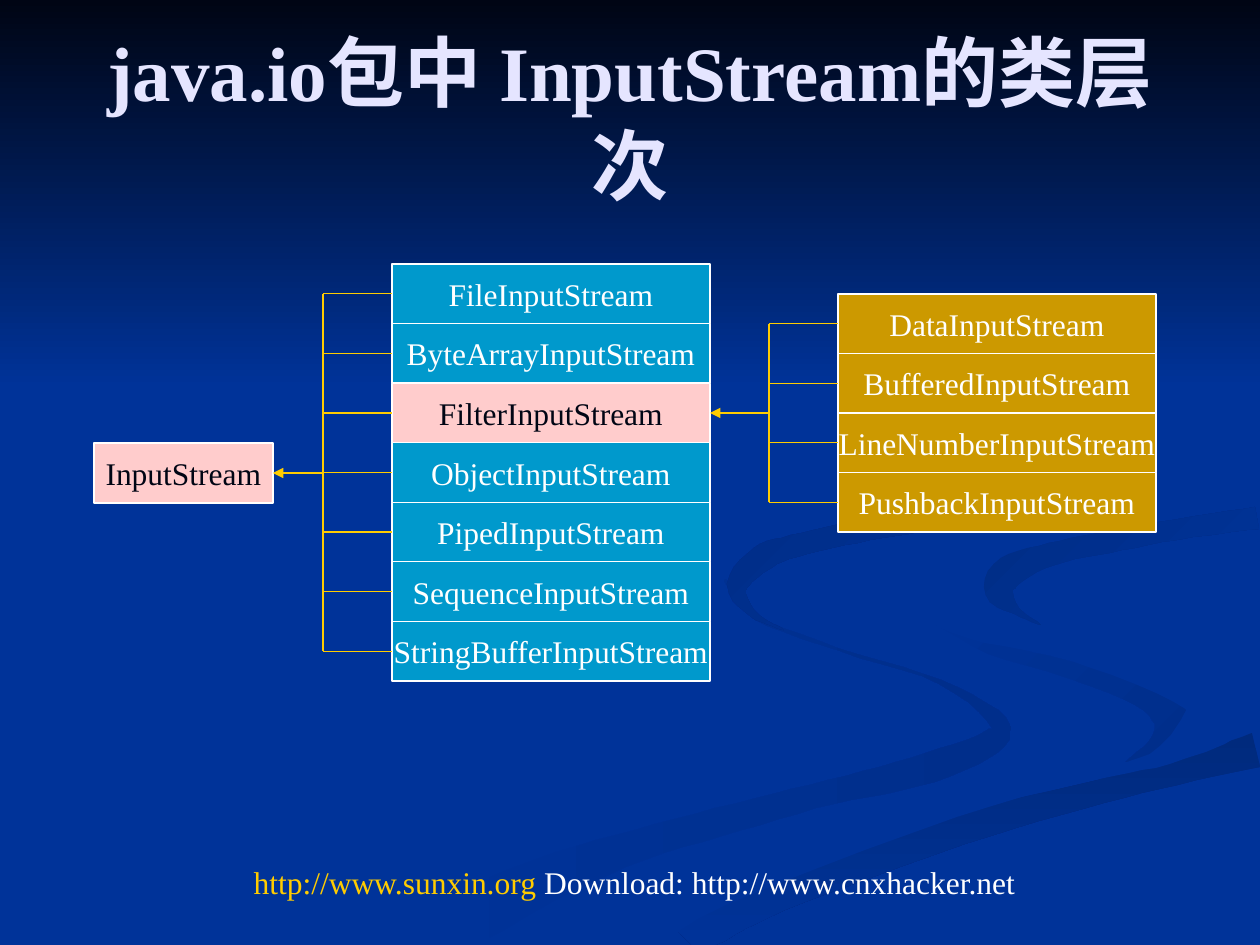
from math import hypot

from lxml import etree
from pptx import Presentation
from pptx import util as u
from pptx.dml.color import RGBColor
from pptx.enum import shapes, text
from pptx.oxml.ns import qn

PX = 914400 / 126
PAGE_WIDTH, PAGE_HEIGHT, SKY_HEIGHT = 1260, 945, 388
FONT = "Times New Roman"
BLUE, GOLD, WHITE, INK, LAVENDER = "003399", "FFCC00", "FFFFFF", "000514", "E5E5FF"
THIN = u.Pt(0.75)
STEPS_PER_KNOT = 5
ROW_STYLES = {"base": ("FFCCCC", INK), "stream": ("0099CC", WHITE), "filter": ("CC9900", WHITE)}

# Each ribbon: start colour, end colour, gradient angle, knots of (x, y, thickness).
RIBBONS = {
    "long curve": (BLUE, "002E8B", 0, [
        (725, 580, 2), (755, 617, 4), (840, 650, 3), (940, 682, 4), (999, 723, 18),
        (983, 747, 26), (915, 772, 30), (831, 792, 24), (738, 817, 28), (640, 845, 32),
        (543, 881, 46), (417, 944, 66)]),
    "right curve": (BLUE, "002E8B", 45, [
        (912, 585, 1), (924, 612, 5), (991, 647, 14), (1063, 668, 16), (1140, 693, 26),
        (1171, 718, 35), (1162, 745, 26), (1126, 762, 1)]),
    "lower band": ("002A7D", BLUE, 90, [
        (680, 944, 50), (729, 919, 34), (800, 888, 30), (960, 830, 30), (1080, 797, 25),
        (1175, 772, 26), (1257, 750, 35)]),
    "road": (BLUE, BLUE, 0, [
        (1259, 498, 19), (1146, 517, 22), (1010, 541, 24), (949, 583, 71), (978, 616, 49),
        (1070, 647, 26), (1180, 677, 50), (1222, 705, 70), (1165, 755, 20), (1094, 775, 10),
        (955, 810, 14), (722, 896, 20), (627, 944, 40)]),
    "upper band": ("002D86", BLUE, 45, [
        (1257, 518, 22), (1175, 530, 20), (1108, 542, 22), (1052, 554, 22), (1010, 571, 32),
        (1000, 592, 29), (1017, 611, 8), (1041, 625, 1)]),
    "far curve": ("002B82", BLUE, 45, [
        (960, 294, 1), (1064, 349, 5), (1112, 398, 8), (1123, 430, 8), (1098, 470, 20),
        (1050, 492, 24), (925, 520, 21), (856, 532, 22), (794, 546, 22), (761, 559, 26),
        (737, 586, 20), (752, 613, 7), (784, 630, 1)]),
}


def px(*lengths):
    """Turn px lengths into EMU."""
    return [u.Emu(round(length * PX)) for length in lengths]


def colour(value):
    """Turn a hex string into a colour."""
    return RGBColor.from_string(value)


def fill_solid(fill, value):
    """Give a fill one plain colour."""
    fill.solid()
    fill.fore_color.rgb = colour(value)


def smooth(knots):
    """Run a Catmull-Rom curve through the knots."""
    padded = [knots[0], *knots, knots[-1]]
    curve = []
    for before, start, end, after in zip(padded, padded[1:], padded[2:], padded[3:]):
        for step in range(STEPS_PER_KNOT):
            t = step / STEPS_PER_KNOT
            curve.append([
                b + t * (c - a + t * (2 * a - 5 * b + 4 * c - d + t * (3 * b - a - 3 * c + d))) / 2
                for a, b, c, d in zip(before, start, end, after)])
            if step == 0:
                curve[-1] = list(start)
    return curve + [list(knots[-1])]


def ribbon_outline(knots):
    """Offset a smooth centre line to both sides by half its thickness."""
    curve = smooth(knots)
    near, far = [], []
    for before, (x, y, thickness), after in zip(curve[:1] + curve, curve, curve[1:] + curve[-1:]):
        run, rise = after[0] - before[0], after[1] - before[1]
        reach = max(thickness, 1) / 2 / hypot(run, rise)
        near.append((x - rise * reach, y + run * reach))
        far.append((x + rise * reach, y - run * reach))
    return near + far[::-1]


def draw_outline(page, points, start, end, angle):
    """Draw a closed outline filled from one colour to the other."""
    corners = [(min(max(x, 0), PAGE_WIDTH), min(max(y, 0), PAGE_HEIGHT)) for x, y in points]
    builder = page.shapes.build_freeform(*corners[0], scale=PX)
    builder.add_line_segments(corners[1:], close=True)
    shape = builder.convert_to_shape()
    shape.shadow.inherit = False
    shape.line.fill.background()
    if start == end:
        fill_solid(shape.fill, start)
        return
    shape.fill.gradient()
    shape.fill.gradient_angle = -angle % 360
    for stop, value in zip(shape.fill.gradient_stops, (start, end)):
        stop.color.rgb = colour(value)


def draw_backdrop(page, box):
    """Fill the page, then lay the ribbons and the dark sky over it."""
    left, top, width, height = box
    fill_solid(page.background.fill, BLUE)
    for start, end, angle, knots in RIBBONS.values():
        draw_outline(page, ribbon_outline(knots), start, end, angle)
    right, bottom = left + width, top + height
    sky = [(left, top), (left, bottom), (right, bottom), (right, top)]
    draw_outline(page, sky, INK, BLUE, 90)


def style_span(span, size, hex_colour, bold=False):
    """Set the font of one run."""
    span.font.name = FONT
    span.font.size = u.Pt(size)
    span.font.bold = bold
    span.font.color.rgb = colour(hex_colour)


def draw_text(page, box, spans, size, bold=False, anchor=text.MSO_ANCHOR.TOP):
    """Place one centred paragraph made of coloured spans."""
    frame = page.shapes.add_textbox(*px(*box)).text_frame
    frame.word_wrap = True
    frame.vertical_anchor = anchor
    para = frame.paragraphs[0]
    para.alignment = text.PP_ALIGN.CENTER
    for wording, hex_colour in spans:
        span = para.add_run()
        span.text = wording
        style_span(span, size, hex_colour, bold)


def draw_classes(page, box, rows):
    """Stack equal class boxes in a column and return the middle of each row."""
    left, top, width, height = box
    row_height = height / len(rows)
    for index, (name, style) in enumerate(rows):
        fill, ink = ROW_STYLES[style]
        shape = page.shapes.add_shape(
            shapes.MSO_SHAPE.RECTANGLE, *px(left, top + index * row_height, width, row_height))
        shape.shadow.inherit = False
        fill_solid(shape.fill, fill)
        shape.line.color.rgb = colour(WHITE)
        shape.line.width = THIN
        frame = shape.text_frame
        frame.word_wrap = False
        frame.vertical_anchor = text.MSO_ANCHOR.MIDDLE
        frame.text = name
        frame.paragraphs[0].alignment = text.PP_ALIGN.CENTER
        style_span(frame.paragraphs[0].runs[0], 18, ink)
    return [top + (index + 0.5) * row_height for index in range(len(rows))]


def draw_line(page, start, end, arrow=False):
    """Draw a thin gold line, with an optional arrowhead at its start."""
    line = page.shapes.add_connector(shapes.MSO_CONNECTOR.STRAIGHT, *px(*start, *end))
    line.line.color.rgb = colour(GOLD)
    line.line.width = THIN
    properties = line._element.spPr
    if arrow:
        etree.SubElement(properties.find(qn("a:ln")), qn("a:headEnd"), type="triangle")
    etree.SubElement(properties, qn("a:effectLst"))


def draw_bracket(page, parent, spine, column, middles):
    """Join a parent point to every row of a column through a vertical spine."""
    draw_line(page, parent, (spine, parent[1]), arrow=True)
    draw_line(page, (spine, middles[0]), (spine, middles[-1]))
    for middle in middles:
        draw_line(page, (spine, middle), (column, middle))


def main():
    """Build the deck and save it."""
    deck = Presentation()
    deck.slide_width, deck.slide_height = px(PAGE_WIDTH, PAGE_HEIGHT)
    page = deck.slides.add_slide(deck.slide_layouts[6])
    draw_backdrop(page, (0, 0, PAGE_WIDTH, SKY_HEIGHT))
    draw_text(page, (63, 38, 1134, 158), [("java.io包中 InputStream的类层次", LAVENDER)],
              44, True, text.MSO_ANCHOR.MIDDLE)
    base = draw_classes(page, (94, 443, 179, 60), [("InputStream", "base")])
    streams = draw_classes(page, (392, 264, 318, 417), [
        ("FileInputStream", "stream"), ("ByteArrayInputStream", "stream"),
        ("FilterInputStream", "base"), ("ObjectInputStream", "stream"),
        ("PipedInputStream", "stream"), ("SequenceInputStream", "stream"),
        ("StringBufferInputStream", "stream")])
    filters = draw_classes(page, (838, 294, 318, 238), [
        (f"{kind}InputStream", "filter")
        for kind in ("Data", "Buffered", "LineNumber", "Pushback")])
    draw_bracket(page, (273, base[0]), 323, 392, streams)
    draw_bracket(page, (710, streams[2]), 769, 838, filters)
    draw_text(page, (223, 857, 823, 88), [
        ("http://www.sunxin.org", GOLD), (" Download: http://www.cnxhacker.net", WHITE)], 18)
    deck.save("out.pptx")


if __name__ == "__main__":
    main()
